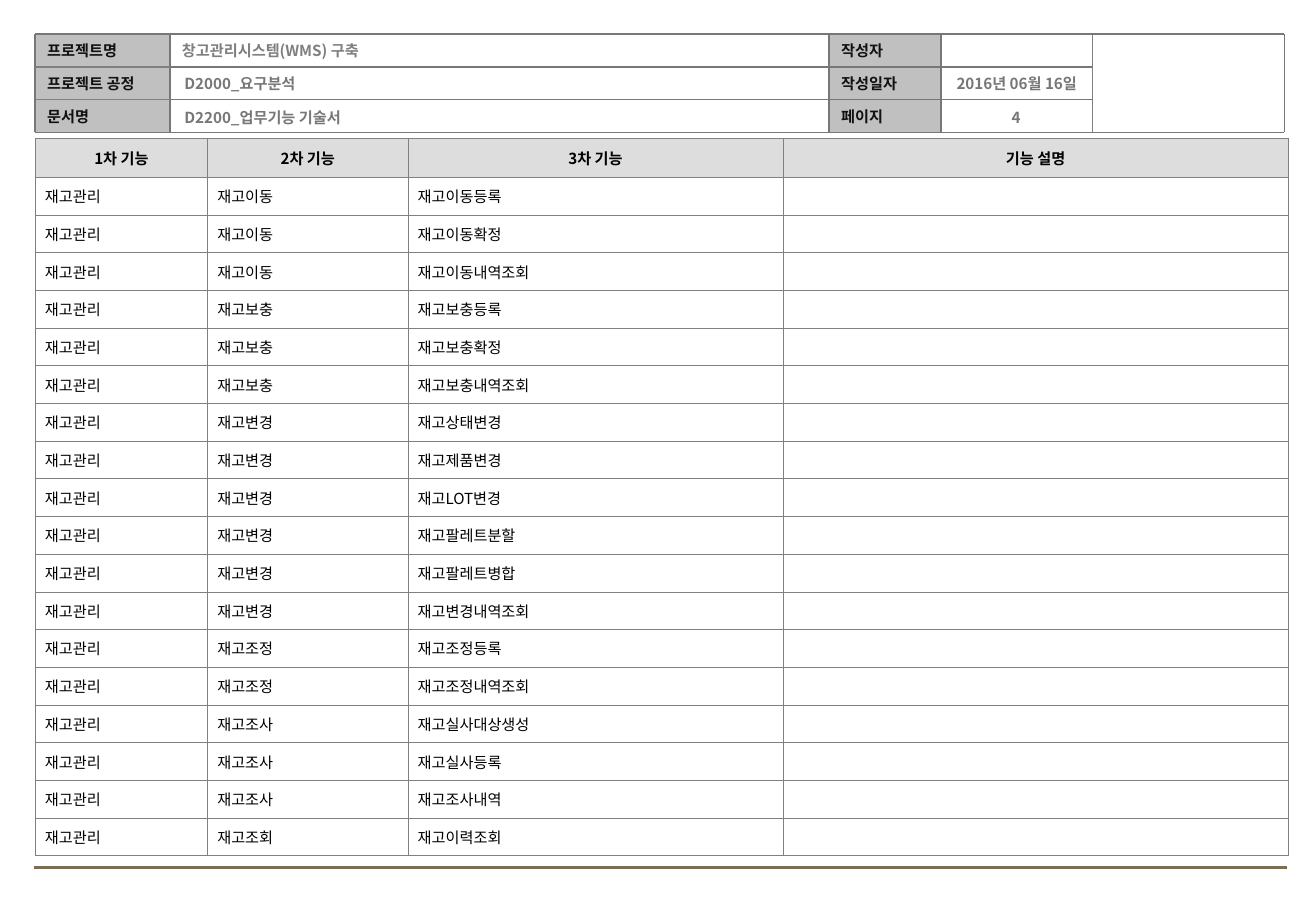
from dataclasses import dataclass

from lxml import etree
from pptx import Presentation
from pptx.dml.color import RGBColor
from pptx.enum import shapes, text
from pptx.oxml import ns
from pptx.slide import Slide
from pptx.table import _Cell as Cell
from pptx.text.text import TextFrame
from pptx.util import Inches, Pt

FONT = "Noto Sans CJK KR"
BLACK = RGBColor(0x00, 0x00, 0x00)
LABEL_INK = RGBColor(0x11, 0x11, 0x11)
VALUE_INK = RGBColor(0x77, 0x77, 0x77)
PROJECT_INK = RGBColor(0x7F, 0x7F, 0x7F)
LABEL_FILL = RGBColor(0xC0, 0xC0, 0xC0)
HEADING_FILL = RGBColor(0xDD, 0xDD, 0xDD)
DARK_RULE = RGBColor(0x77, 0x77, 0x77)
GRAY_RULE = RGBColor(0x80, 0x80, 0x80)
FOOTER_RULE = RGBColor(0x7A, 0x6F, 0x54)

LEFT, LABEL_END, SECOND_LABEL, SECOND_END, DATE_END, RIGHT = 0.29, 1.4, 6.83, 7.75, 9, 10.58
TOP, BAND = 0.28, 0.27
BOTTOM = TOP + 3 * BAND

HEADINGS = ("1차 기능", "2차 기능", "3차 기능", "기능 설명")
COLUMN_WIDTHS = (1.42, 1.65, 3.09, 4.16)
HEADING_HEIGHT, ROWS_HEIGHT = 0.32, 5.59
CATEGORY = "재고관리"
FUNCTIONS = {
    "재고이동": ("재고이동등록", "재고이동확정", "재고이동내역조회"),
    "재고보충": ("재고보충등록", "재고보충확정", "재고보충내역조회"),
    "재고변경": ("재고상태변경", "재고제품변경", "재고LOT변경", "재고팔레트분할",
             "재고팔레트병합", "재고변경내역조회"),
    "재고조정": ("재고조정등록", "재고조정내역조회"),
    "재고조사": ("재고실사대상생성", "재고실사등록", "재고조사내역"),
    "재고조회": ("재고이력조회",),
}


@dataclass(frozen=True)
class Rule:
    x1: float
    y1: float
    x2: float
    y2: float
    color: RGBColor = DARK_RULE
    width: float = 1


@dataclass(frozen=True)
class Value:
    words: str
    left: float
    top: float
    width: float
    height: float
    color: RGBColor = VALUE_INK
    align: text.PP_ALIGN = text.PP_ALIGN.LEFT
    anchor: text.MSO_ANCHOR = text.MSO_ANCHOR.TOP


LABEL_COLUMNS = (
    (LEFT, LABEL_END, ("프로젝트명", "프로젝트 공정", "문서명")),
    (SECOND_LABEL, SECOND_END, ("작성자", "작성일자", "페이지")),
)
VALUES = (
    Value("창고관리시스템(WMS) 구축", LABEL_END, TOP, 5.43, BAND, PROJECT_INK,
          anchor=text.MSO_ANCHOR.MIDDLE),
    Value("D2000_요구분석", 1.42, 0.56, 4.8, 0.25),
    Value("D2200_업무기능 기술서", 1.42, 0.84, 4.8, 0.25),
    Value("2016년 06월 16일", 7.59, 0.56, 1.57, 0.25, align=text.PP_ALIGN.CENTER),
    Value("4", 7.78, 0.84, 1.18, 0.27, align=text.PP_ALIGN.CENTER),
)
INNER_ROWS = (TOP + BAND, TOP + 2 * BAND)
HEADER_RULES = (
    *(Rule(x, TOP, x, BOTTOM) for x in (LEFT, LABEL_END, SECOND_LABEL, SECOND_END, RIGHT)),
    Rule(DATE_END, TOP, DATE_END, BOTTOM, GRAY_RULE),
    *(Rule(LEFT, y, LABEL_END, y, GRAY_RULE) for y in INNER_ROWS),
    *(Rule(LABEL_END, y, DATE_END, y) for y in INNER_ROWS),
    *(Rule(LEFT, y, RIGHT, y) for y in (TOP, BOTTOM)),
)


def write(frame: TextFrame, words: str, color: RGBColor, bold: bool = True,
          align: text.PP_ALIGN = text.PP_ALIGN.LEFT) -> None:
    paragraph = frame.paragraphs[0]
    paragraph.alignment = align
    run = paragraph.add_run()
    run.text = words
    run.font.size = Pt(9)
    run.font.bold = bold
    run.font.color.rgb = color
    run.font.name = FONT
    etree.SubElement(run.font._element, ns.qn("a:ea"), typeface=FONT)


def draw_rule(slide: Slide, rule: Rule) -> None:
    connector = slide.shapes.add_connector(
        shapes.MSO_CONNECTOR.STRAIGHT,
        Inches(rule.x1), Inches(rule.y1), Inches(rule.x2), Inches(rule.y2))
    connector.line.color.rgb = rule.color
    connector.line.width = Pt(rule.width)
    etree.SubElement(connector._element.spPr, ns.qn("a:effectLst"))


def draw_label(slide: Slide, words: str, left: float, top: float, width: float) -> None:
    shape = slide.shapes.add_shape(
        shapes.MSO_SHAPE.RECTANGLE, Inches(left), Inches(top), Inches(width), Inches(BAND))
    shape.shadow.inherit = False
    shape.fill.solid()
    shape.fill.fore_color.rgb = LABEL_FILL
    shape.line.fill.background()
    shape.text_frame.vertical_anchor = text.MSO_ANCHOR.MIDDLE
    write(shape.text_frame, words, LABEL_INK)


def draw_value(slide: Slide, value: Value) -> None:
    box = slide.shapes.add_textbox(
        Inches(value.left), Inches(value.top), Inches(value.width), Inches(value.height))
    box.text_frame.word_wrap = True
    box.text_frame.vertical_anchor = value.anchor
    write(box.text_frame, value.words, value.color, align=value.align)


def draw_borders(cell: Cell) -> None:
    properties = cell._tc.get_or_add_tcPr()
    for side in ("lnL", "lnR", "lnT", "lnB"):
        line = etree.SubElement(properties, ns.qn(f"a:{side}"), w=str(Pt(0.45)))
        fill = etree.SubElement(line, ns.qn("a:solidFill"))
        etree.SubElement(fill, ns.qn("a:srgbClr"), val=str(GRAY_RULE))


def fill_cell(cell: Cell, words: str, heading: bool) -> None:
    draw_borders(cell)
    cell.vertical_anchor = text.MSO_ANCHOR.MIDDLE
    cell.margin_left = cell.margin_right = Inches(0.08)
    if heading:
        cell.fill.solid()
        cell.fill.fore_color.rgb = HEADING_FILL
    else:
        cell.fill.background()
    if words:
        align = text.PP_ALIGN.CENTER if heading else text.PP_ALIGN.LEFT
        write(cell.text_frame, words, BLACK, heading, align)
    else:
        paragraph = cell.text_frame.paragraphs[0]
        etree.SubElement(paragraph._p, ns.qn("a:endParaRPr"), sz="900")


def draw_function_table(slide: Slide) -> None:
    rows = [HEADINGS] + [(CATEGORY, group, name, "")
                         for group, names in FUNCTIONS.items() for name in names]
    table = slide.shapes.add_table(
        len(rows), len(HEADINGS), Inches(LEFT), Inches(1.14),
        Inches(sum(COLUMN_WIDTHS)), Inches(HEADING_HEIGHT + ROWS_HEIGHT)).table
    table.first_row = table.horz_banding = False
    for column, width in zip(table.columns, COLUMN_WIDTHS):
        column.width = Inches(width)
    for index, words in enumerate(rows):
        heading = index == 0
        height = HEADING_HEIGHT if heading else ROWS_HEIGHT / (len(rows) - 1)
        table.rows[index].height = Inches(height)
        for cell, entry in zip(table.rows[index].cells, words):
            fill_cell(cell, entry, heading)


def main() -> None:
    presentation = Presentation()
    presentation.slide_width = Inches(10.84)
    presentation.slide_height = Inches(7.5)
    slide = presentation.slides.add_slide(presentation.slide_layouts[6])

    draw_rule(slide, Rule(0.28, 7.14, 10.6, 7.14, FOOTER_RULE, 1.75))
    for left, right, labels in LABEL_COLUMNS:
        for row, words in enumerate(labels):
            draw_label(slide, words, left, TOP + row * BAND, right - left)
    for rule in HEADER_RULES:
        draw_rule(slide, rule)
    for value in VALUES:
        draw_value(slide, value)
    draw_function_table(slide)
    presentation.save("out.pptx")


if __name__ == "__main__":
    main()
